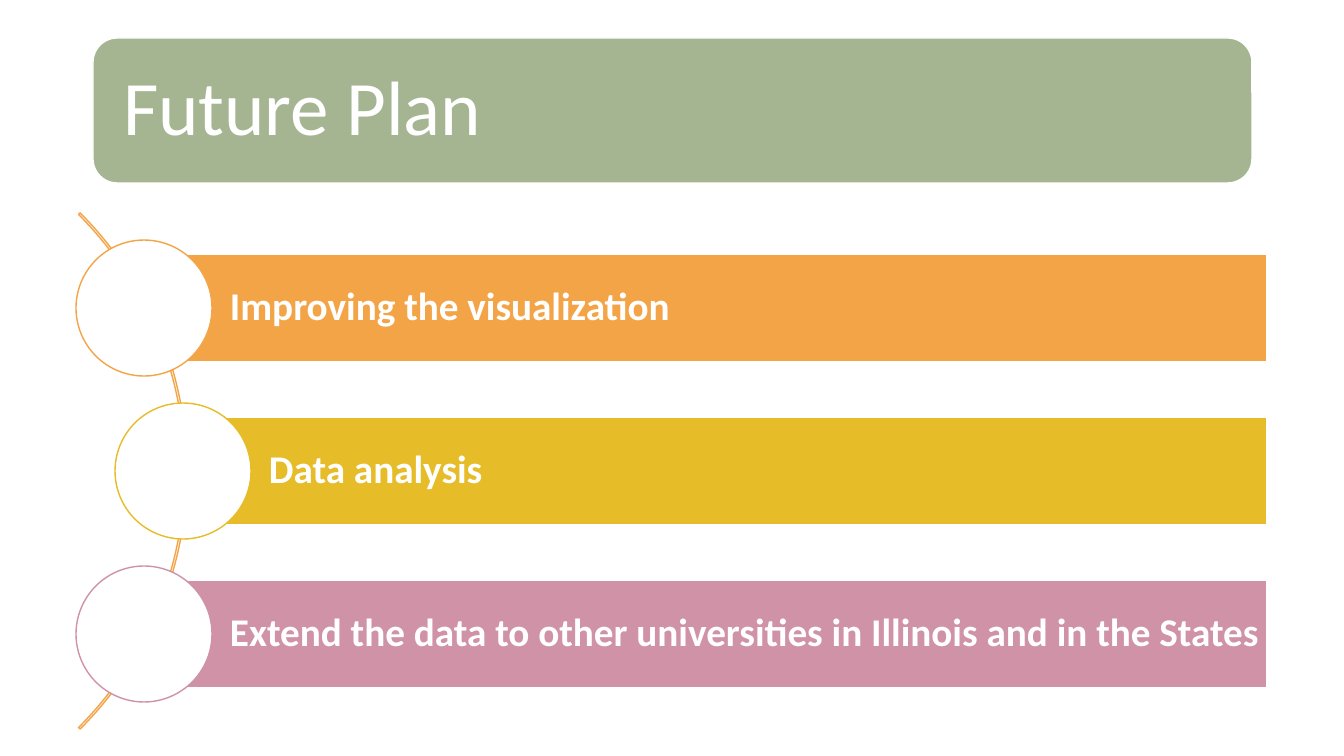
from dataclasses import dataclass

from pptx import Presentation
from pptx.dml.color import RGBColor
from pptx.enum.shapes import MSO_SHAPE as Preset
from pptx.enum.text import MSO_ANCHOR as Anchor, MSO_AUTO_SIZE as AutoSize, PP_ALIGN as Align
from pptx.shapes.autoshape import Shape
from pptx.slide import Slide
from pptx.util import Emu, Pt

EMU_PER_PX = 12192000 / 1344
SLIDE_WIDTH, SLIDE_HEIGHT = 1344, 756

COLORS = {
    "white": "FFFFFF",
    "sage": "A5B592",
    "orange": "F3A447",
    "gold": "E7BC29",
    "rose": "D092A7",
}

ARC_CENTER_X, ARC_CENTER_Y, ARC_RADIUS = -178, 471, 365
STEP_PITCH = 163
BAR_HEIGHT, BAR_RIGHT = 108, 1267
CIRCLE_SIZE = 136


@dataclass(frozen=True)
class Box:
    left: int
    top: int
    width: int
    height: int

    def emu(self) -> tuple[Emu, ...]:
        return tuple(px(n) for n in (self.left, self.top, self.width, self.height))


@dataclass(frozen=True)
class Step:
    text: str
    color: str
    center_x: int


STEPS = [
    Step("Improving the visualization", "orange", 144),
    Step("Data analysis", "gold", 183),
    Step("Extend the data to other universities in Illinois and in the States", "rose", 144),
]


def px(length: int) -> Emu:
    return Emu(round(length * EMU_PER_PX))


def rgb(color: str) -> RGBColor:
    return RGBColor.from_string(COLORS[color])


def add_preset(slide: Slide, preset: Preset, box: Box, fill: str | None, line: str) -> Shape:
    shape = slide.shapes.add_shape(preset, *box.emu())
    shape.shadow.inherit = False
    if fill is None:
        shape.fill.background()
    else:
        shape.fill.solid()
        shape.fill.fore_color.rgb = rgb(fill)
    shape.line.color.rgb = rgb(line)
    shape.line.width = Pt(1)
    return shape


def write_text(shape: Shape, text: str, size: int, bold: bool, margins: Box) -> None:
    frame = shape.text_frame
    frame.text = text
    frame.word_wrap = True
    frame.auto_size = AutoSize.NONE
    frame.vertical_anchor = Anchor.MIDDLE
    frame.margin_left, frame.margin_top, frame.margin_right, frame.margin_bottom = margins.emu()
    paragraph = frame.paragraphs[0]
    paragraph.alignment = Align.LEFT
    paragraph.line_spacing = 0.9
    font = paragraph.runs[0].font
    font.name = "Calibri"
    font.size = Pt(size)
    font.bold = bold
    font.color.rgb = rgb("white")


def add_title(slide: Slide) -> None:
    plate = add_preset(slide, Preset.ROUNDED_RECTANGLE, Box(93, 38, 1159, 145), "sage", "white")
    title = slide.shapes.title
    title.left, title.top, title.width, title.height = Box(100, 45, 1145, 131).emu()
    write_text(title, "Future Plan", 55, False, Box(23, 23, 23, 23))
    plate._element.addnext(title._element)


def add_arc(slide: Slide) -> None:
    diameter = 2 * ARC_RADIUS
    box = Box(ARC_CENTER_X - ARC_RADIUS, ARC_CENTER_Y - ARC_RADIUS, diameter, diameter)
    arc = add_preset(slide, Preset.BLOCK_ARC, box, None, "orange")
    for index, value in enumerate((189, 27, 0.003)):
        arc.adjustments[index] = value


def add_step(slide: Slide, step: Step, center_y: int) -> None:
    bar_box = Box(step.center_x, center_y - BAR_HEIGHT // 2, BAR_RIGHT - step.center_x, BAR_HEIGHT)
    bar = add_preset(slide, Preset.RECTANGLE, bar_box, step.color, "white")
    write_text(bar, step.text, 28, True, Box(86, 8, 0, 8))
    radius = CIRCLE_SIZE // 2
    circle_box = Box(step.center_x - radius, center_y - radius, CIRCLE_SIZE, CIRCLE_SIZE)
    add_preset(slide, Preset.OVAL, circle_box, "white", step.color)


def main() -> None:
    deck = Presentation()
    deck.slide_width, deck.slide_height = px(SLIDE_WIDTH), px(SLIDE_HEIGHT)
    slide = deck.slides.add_slide(deck.slide_layouts.get_by_name("Title Only"))
    add_title(slide)
    add_arc(slide)
    for index, step in enumerate(STEPS):
        add_step(slide, step, ARC_CENTER_Y + (index - 1) * STEP_PITCH)
    deck.save("out.pptx")


if __name__ == "__main__":
    main()
